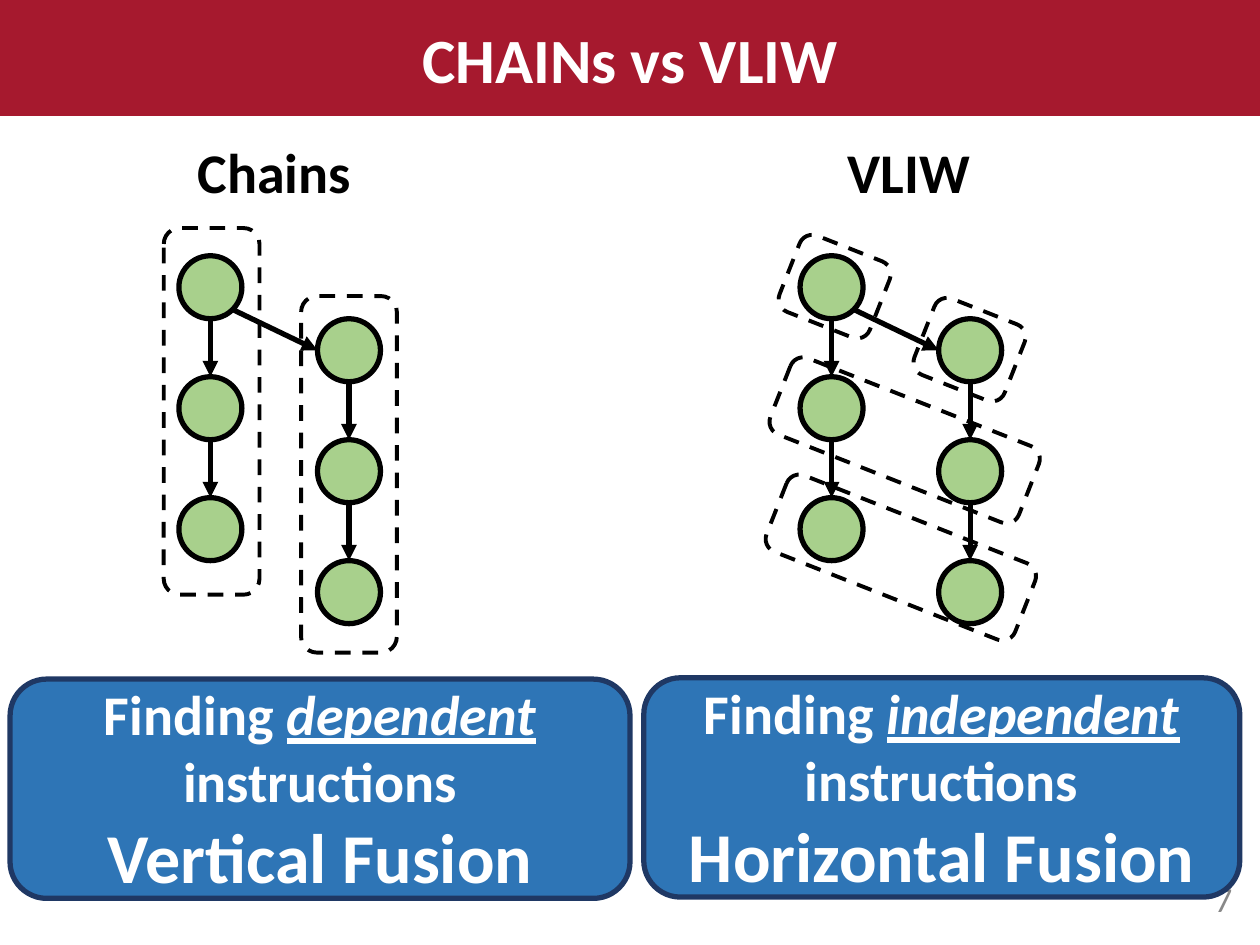
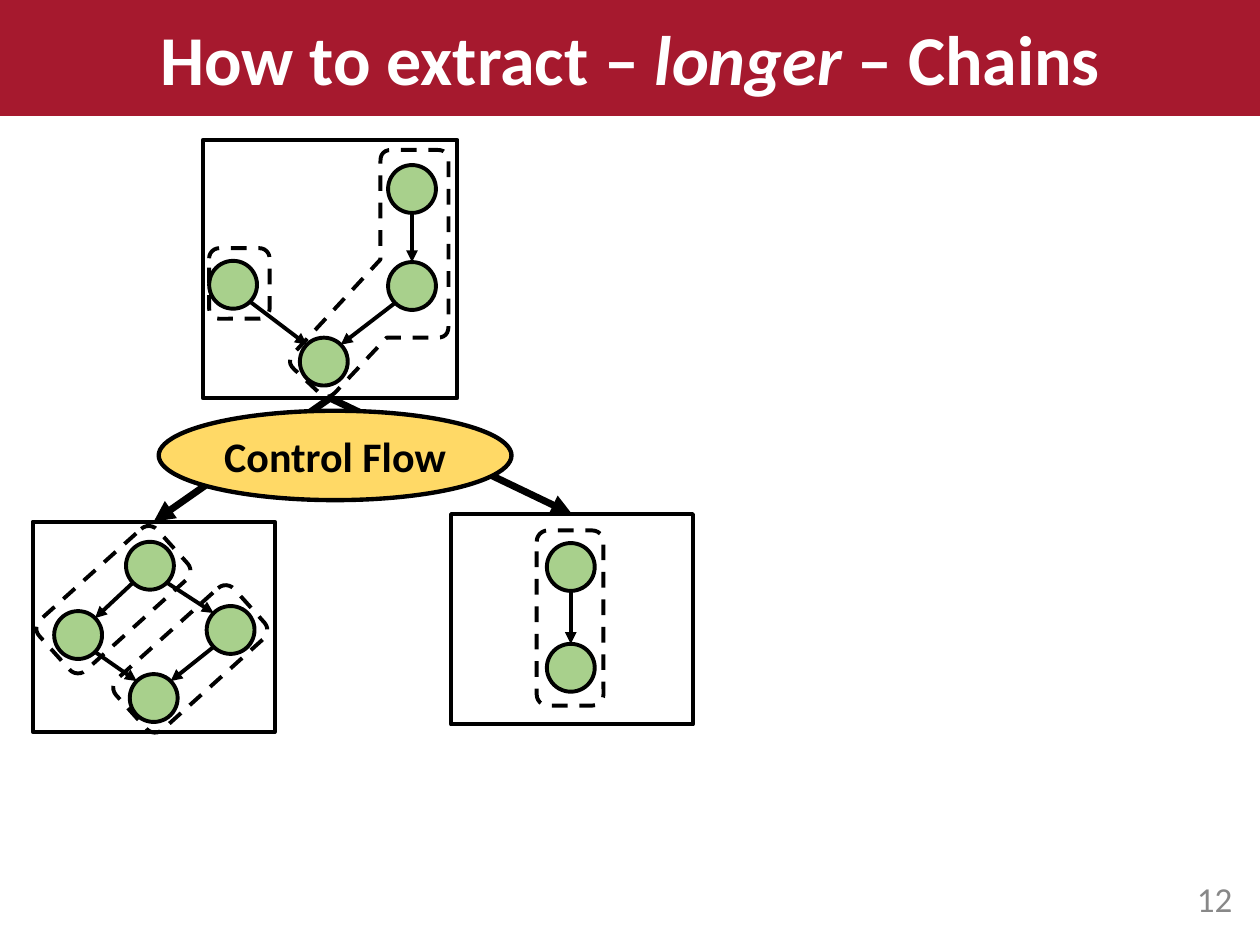
from math import sqrt

from lxml import etree
from pptx import Presentation
from pptx.dml.color import RGBColor
from pptx.enum import dml, shapes, text
from pptx.oxml import ns
from pptx.util import Inches, Pt

RED = RGBColor(0xA6, 0x19, 0x2E)
GREEN = RGBColor(0xA8, 0xD0, 0x8C)
BLUE = RGBColor(0x2E, 0x75, 0xB6)
NAVY = RGBColor(0x1F, 0x38, 0x64)
YELLOW = RGBColor(0xFF, 0xD9, 0x66)
GREY = RGBColor(0x88, 0x88, 0x88)
BLACK = RGBColor(0, 0, 0)
WHITE = RGBColor(0xFF, 0xFF, 0xFF)
FONT = "Calibri"

DIAG = sqrt(0.5)
PORTS = {
    "top": (0, -1), "bottom": (0, 1), "left": (-1, 0), "right": (1, 0),
    "top left": (-DIAG, -DIAG), "top right": (DIAG, -DIAG),
    "bottom left": (-DIAG, DIAG), "bottom right": (DIAG, DIAG),
}
CENTER, RIGHT = text.PP_ALIGN.CENTER, text.PP_ALIGN.RIGHT
MIDDLE, TOP = text.MSO_ANCHOR.MIDDLE, text.MSO_ANCHOR.TOP
KINDS = shapes.MSO_SHAPE


def write(tf, paragraphs, color, align=None, anchor=MIDDLE):
    """Fill a frame from (size, bold, runs); a run marked * is italic, _ also underlined."""
    tf.word_wrap = True
    tf.auto_size = text.MSO_AUTO_SIZE.NONE
    tf.vertical_anchor = anchor
    for i, (size, bold, runs) in enumerate(paragraphs):
        p = tf.add_paragraph() if i else tf.paragraphs[0]
        p.alignment = align
        p.font.name, p.font.size, p.font.bold = FONT, Pt(size), bold
        p.font.color.rgb = color
        for words in runs:
            r = p.add_run()
            r.text = words.strip("*_")
            if words[0] in "*_":
                r.font.italic = True
            if words[0] == "_":
                r.font.underline = True


def style(sp, fill, line, width, dashed=False):
    sp.shadow.inherit = False
    if fill is None:
        sp.fill.background()
    else:
        sp.fill.solid()
        sp.fill.fore_color.rgb = fill
    sp.line.color.rgb = line
    sp.line.width = Pt(width)
    if dashed:
        sp.line.dash_style = dml.MSO_LINE.DASH


def add_shape(s, kind, box, fill=None, line=BLACK, width=2.25, dashed=False):
    sp = s.shapes.add_shape(kind, *map(Inches, box))
    style(sp, fill, line, width, dashed)
    return sp


def add_text(s, box, *args, **kwargs):
    write(s.shapes.add_textbox(*map(Inches, box)).text_frame, *args, **kwargs)


def add_arrow(s, start, end, width):
    c = s.shapes.add_connector(shapes.MSO_CONNECTOR.STRAIGHT,
                               *map(Inches, (*start, *end)))
    c.line.color.rgb = BLACK
    c.line.width = Pt(width)
    etree.SubElement(c.line._get_or_add_ln(), ns.qn("a:tailEnd"), type="triangle")
    etree.SubElement(c._element.spPr, ns.qn("a:effectLst"))
    return c


def add_graph(s, left, top, centers, edges, diameter, width):
    """Draw nodes around centers, and edges of (node, port, node, port)."""
    radius = diameter / 2

    def port(node, side):
        return [o + c + radius * d
                for o, c, d in zip((left, top), centers[node], PORTS[side])]

    for x, y in centers:
        add_shape(s, KINDS.OVAL, (left + x - radius, top + y - radius, diameter, diameter),
                  GREEN, width=width)
    for a, a_side, b, b_side in edges:
        add_arrow(s, port(a, a_side), port(b, b_side), width)


def add_groups(s, left, top, boxes, angle=0):
    for x, y, w, h in boxes:
        sp = add_shape(s, KINDS.ROUNDED_RECTANGLE, (left + x, top + y, w, h), dashed=True)
        sp.rotation = angle


def add_bent_group(s, left, top, corners, cut=0.09, steps=6):
    """Dashed outline through (x, y, rounded) corners."""
    points = []
    for i, (x, y, rounded) in enumerate(corners):
        if not rounded:
            points.append((x, y))
            continue
        ends = []
        for nx, ny, _ in (corners[i - 1], corners[(i + 1) % len(corners)]):
            k = cut / sqrt((nx - x) ** 2 + (ny - y) ** 2)
            ends.append((x + k * (nx - x), y + k * (ny - y)))
        for t in (n / steps for n in range(steps + 1)):
            points.append(tuple((1 - t) ** 2 * a + 2 * t * (1 - t) * m + t * t * b
                                for a, m, b in zip(ends[0], (x, y), ends[1])))
    points = [(Inches(left + x), Inches(top + y)) for x, y in points]
    builder = s.shapes.build_freeform(*points[0])
    builder.add_line_segments(points[1:], close=True)
    style(builder.convert_to_shape(), None, BLACK, 2.25, dashed=True)


def add_slide(prs, number, title, size):
    s = prs.slides.add_slide(prs.slide_layouts[5])
    sp = s.shapes.title
    sp.left, sp.top, sp.width, sp.height = map(Inches, (0, 0, 10, 0.92))
    sp.fill.solid()
    sp.fill.fore_color.rgb = RED
    write(sp.text_frame, [(size, True, title)], WHITE, CENTER)
    add_text(s, (7.63, 6.93, 2.25, 0.4), [(20, False, [number])], GREY, RIGHT)
    return s


def dependence_graph(s, left, top, heading, heading_x, heading_w):
    """Two columns of three nodes, the second column lower, under a heading."""
    add_text(s, (left + heading_x, top - 0.99, heading_w, 0.64),
             [(32, True, [heading])], BLACK, anchor=TOP)
    centers = [(0.25 + 1.1 * col, 0.25 + 0.5 * col + 0.96 * row)
               for col in range(2) for row in range(3)]
    edges = [(n, "bottom", n + 1, "top") for n in (0, 1, 3, 4)]
    edges.append((0, "bottom right", 3, "left"))
    add_graph(s, left, top, centers, edges, 0.5, 3)


def message(s, box, kind, fusion):
    sp = add_shape(s, KINDS.ROUNDED_RECTANGLE, box, BLUE, NAVY, 3)
    write(sp.text_frame, [(32, True, ["Finding ", f"_{kind}_", " instructions"]),
                          (40, True, [fusion])], WHITE, CENTER)


def basic_block(s, box, centers, edges):
    frame = add_shape(s, KINDS.RECTANGLE, box)
    add_graph(s, *box[:2], centers, edges, 0.38, 2.25)
    return frame


def chains_vs_vliw(prs):
    s = add_slide(prs, "7", ["CHAINs vs VLIW"], 36)
    chains, vliw = (1.42, 2.03), (6.35, 2.03)
    dependence_graph(s, *chains, "Chains", 0.05, 1.43)
    add_groups(s, *chains, [(-0.12, -0.22, 0.76, 2.91), (0.97, 0.32, 0.76, 2.83)])
    dependence_graph(s, *vliw, "VLIW", 0.28, 1.18)
    add_groups(s, *vliw, [(-0.26, 2.07, 2.12, 0.65), (-0.23, 1.14, 2.12, 0.65),
                          (-0.11, -0.08, 0.77, 0.65), (0.96, 0.42, 0.77, 0.65)], 21.5)
    message(s, (0.08, 5.39, 4.92, 1.74), "dependent", "Vertical Fusion")
    message(s, (5.11, 5.38, 4.73, 1.74), "independent", "Horizontal Fusion")


def longer_chains(prs):
    s = add_slide(prs, "12", ["How to extract – ", "*longer*", " – Chains"], 40)
    entry, left, right = (1.61, 1.11), (0.26, 4.14), (3.58, 4.08)

    entry_block = basic_block(
        s, (*entry, 2.02, 2.05),
        [(0.96, 1.76), (0.24, 1.15), (1.66, 1.16), (1.66, 0.39)],
        [(2, "bottom left", 0, "top right"), (1, "bottom right", 0, "top left"),
         (3, "bottom", 2, "top")])
    add_bent_group(s, *entry, [(1.41, 0.08, True), (1.95, 0.08, True),
                               (1.95, 1.57, True), (1.46, 1.57, False),
                               (0.99, 2.07, True), (0.66, 1.76, True),
                               (1.41, 0.95, False)])
    add_groups(s, *entry, [(0.05, 0.86, 0.48, 0.56)])

    right_block = basic_block(s, (*right, 1.92, 1.67), [(0.95, 0.42), (0.95, 1.22)],
                              [(0, "bottom", 1, "top")])
    add_groups(s, *right, [(0.68, 0.13, 0.53, 1.39)])

    left_block = basic_block(
        s, (*left, 1.92, 1.67),
        [(0.93, 0.35), (0.96, 1.4), (1.57, 0.86), (0.36, 0.9)],
        [(0, "bottom left", 3, "top right"), (0, "bottom right", 2, "top left"),
         (3, "bottom right", 1, "top left"), (2, "bottom left", 1, "top right")])
    add_groups(s, *left, [(0.37, -0.01, 0.54, 1.26), (0.98, 0.46, 0.54, 1.26)], 48)

    for block in (right_block, left_block):
        c = add_arrow(s, (0, 0), (1, 1), 4)
        c.begin_connect(entry_block, 2)
        c.end_connect(block, 0)
    sp = add_shape(s, KINDS.OVAL, (1.26, 3.26, 2.8, 0.71), YELLOW, width=2.5)
    write(sp.text_frame, [(24, True, ["Control Flow"])], BLACK, CENTER)


def main():
    prs = Presentation()
    prs.slide_width, prs.slide_height = Inches(10), Inches(7.5)
    chains_vs_vliw(prs)
    longer_chains(prs)
    prs.save("out.pptx")


if __name__ == "__main__":
    main()
